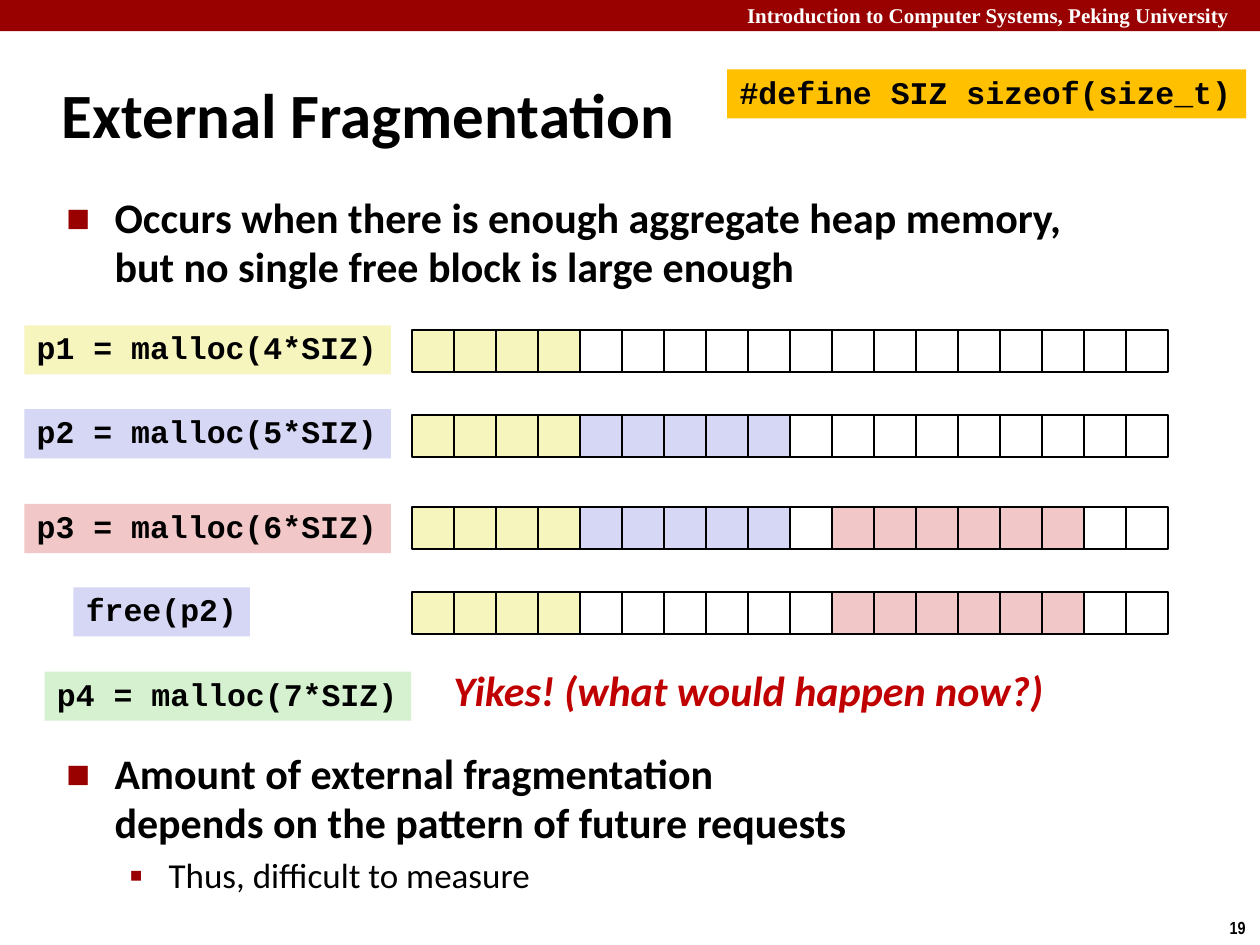
"""Build the slide on external fragmentation of a heap."""
from dataclasses import dataclass

from lxml import etree
from pptx import Presentation
from pptx.dml import color
from pptx.enum import shapes, text
from pptx.oxml import ns
from pptx.util import Cm, Pt

BLACK, WHITE, RED = "000000", "FFFFFF", "990000"
YELLOW, BLUE, PINK, GREEN, AMBER = "F6F5BD", "D6D6F5", "F1C7C7", "D5F1CF", "FFC000"
SLOTS, CELL, LEFT = 18, 15.24 / 18, 8.31


@dataclass
class Code:
    """A code label on a coloured box."""
    line: str
    x: float
    y: float
    w: float
    fill: str


@dataclass
class Heap:
    """A row of heap cells, as runs of one colour."""
    y: float
    runs: list[tuple[str, int]]


CODES = [
    Code("p4 = malloc(7*SIZ)", 0.9, 13.54, 7.39, GREEN),
    Code("#define SIZ sizeof(size_t)", 14.66, 1.4, 10.46, AMBER),
    Code("p1 = malloc(4*SIZ)", 0.49, 6.56, 7.39, YELLOW),
    Code("p2 = malloc(5*SIZ)", 0.49, 8.25, 7.39, BLUE),
    Code("p3 = malloc(6*SIZ)", 0.49, 10.16, 7.39, PINK),
    Code("free(p2)", 1.48, 11.84, 3.56, BLUE),
]
HEAPS = [
    Heap(6.65, [(YELLOW, 4), (WHITE, 14)]),
    Heap(8.36, [(YELLOW, 4), (BLUE, 5), (WHITE, 9)]),
    Heap(10.22, [(YELLOW, 4), (BLUE, 5), (WHITE, 1), (PINK, 6), (WHITE, 2)]),
    Heap(11.94, [(YELLOW, 4), (WHITE, 6), (PINK, 6), (WHITE, 2)]),
]


def rgb(code: str) -> color.RGBColor:
    """Turn a hex string into a colour."""
    return color.RGBColor.from_string(code)


def write(para, words: str, size=18, face="Calibri", ink=BLACK, bold=True,
          slant=False, lead=None, gap=0) -> None:
    """Put formatted words into a paragraph."""
    para.text = words
    para.alignment = text.PP_ALIGN.LEFT
    para.space_before = Pt(gap)
    if lead:
        para.line_spacing = lead
    for run in para.runs:
        font = run.font
        font.size, font.name = Pt(size), face
        font.bold, font.italic = bold, slant
        font.color.rgb = rgb(ink)


def bullet(para, mark: str, scale: int, margin: float, hang: float) -> None:
    """Give a paragraph a red hanging bullet."""
    props = para._p.get_or_add_pPr()
    props.set("marL", str(Cm(margin)))
    props.set("indent", str(-Cm(hang)))
    tint = etree.SubElement(props, ns.qn("a:buClr"))
    etree.SubElement(tint, ns.qn("a:srgbClr"), val=RED)
    etree.SubElement(props, ns.qn("a:buSzPct"), val=str(scale * 1000))
    etree.SubElement(props, ns.qn("a:buFont"), typeface="Calibri")
    etree.SubElement(props, ns.qn("a:buChar"), char=mark)


def label(slide, words: str, x: float, y: float, w: float, h: float,
          wrap=False, **style):
    """Add a text box and return its frame."""
    frame = slide.shapes.add_textbox(Cm(x), Cm(y), Cm(w), Cm(h)).text_frame
    frame.word_wrap = wrap
    write(frame.paragraphs[0], words, **style)
    return frame


def rect(parent, x: float, y: float, w: float, h: float, fill: str, edge=None):
    """Add a flat rectangle, outlined if an edge colour is given."""
    box = parent.shapes.add_shape(
        shapes.MSO_SHAPE.RECTANGLE, Cm(x), Cm(y), Cm(w), Cm(h))
    box.shadow.inherit = False
    box.fill.solid()
    box.fill.fore_color.rgb = rgb(fill)
    if edge:
        box.line.color.rgb = rgb(edge)
        box.line.width = Pt(1)
    else:
        box.line.fill.background()
    return box


def draw_code(slide, code: Code) -> None:
    """Draw one code label."""
    frame = rect(slide, code.x, code.y, code.w, 0.99, code.fill).text_frame
    frame.word_wrap = False
    frame.vertical_anchor = text.MSO_ANCHOR.TOP
    write(frame.paragraphs[0], code.line, face="Courier New", lead=0.94)


def draw_heap(slide, heap: Heap) -> None:
    """Draw one row of heap cells as a group."""
    group = slide.shapes.add_group_shape()
    fills = [fill for fill, count in heap.runs for _ in range(count)]
    for i, fill in enumerate(fills[:SLOTS]):
        rect(group, LEFT + i * CELL, heap.y, CELL, CELL, fill, BLACK)


def main() -> None:
    """Build and save the slide."""
    deck = Presentation()
    deck.slide_width, deck.slide_height = Cm(25.4), Cm(19.05)
    slide = deck.slides.add_slide(deck.slide_layouts[5])

    rect(slide, 0, 0, 25.4, 0.63, RED)
    label(slide, "Introduction to Computer Systems, Peking University",
          14.81, -0.08, 10.77, 0.77, wrap=True, size=12,
          face="Times New Roman", ink=WHITE)
    label(slide, "19", 24.54, 18.36, 0.86, 0.69, size=10, face="Arial Narrow")

    title = slide.shapes.title
    title.left, title.top = Cm(0.99), Cm(1.22)
    title.width, title.height = Cm(21.08), Cm(2.11)
    title.text_frame.vertical_anchor = text.MSO_ANCHOR.MIDDLE
    write(title.text_frame.paragraphs[0], "External Fragmentation", size=36)

    points = [
        ("Occurs when there is enough aggregate heap memory, "
         "but no single free block is large enough", 3.78, 2.3),
        ("Amount of external fragmentation\n"
         "depends on the pattern of future requests", 14.99, 3.3),
    ]
    for words, y, h in points:
        frame = label(slide, words, 1.09, y, 21.95, h, wrap=True,
                      size=24, lead=0.98)
        bullet(frame.paragraphs[0], "■", 60, 0.97, 0.97)
    para = frame.add_paragraph()
    para.level = 1
    write(para, "Thus, difficult to measure", size=20, bold=False,
          lead=0.98, gap=4)
    bullet(para, "▪", 110, 2.06, 0.79)

    label(slide, "Yikes! (what would happen now?)", 8.89, 13.28, 12.5, 1.27,
          size=24, ink="C00000", slant=True)
    for code in CODES:
        draw_code(slide, code)
    for heap in HEAPS:
        draw_heap(slide, heap)
    deck.save("out.pptx")


if __name__ == "__main__":
    main()
